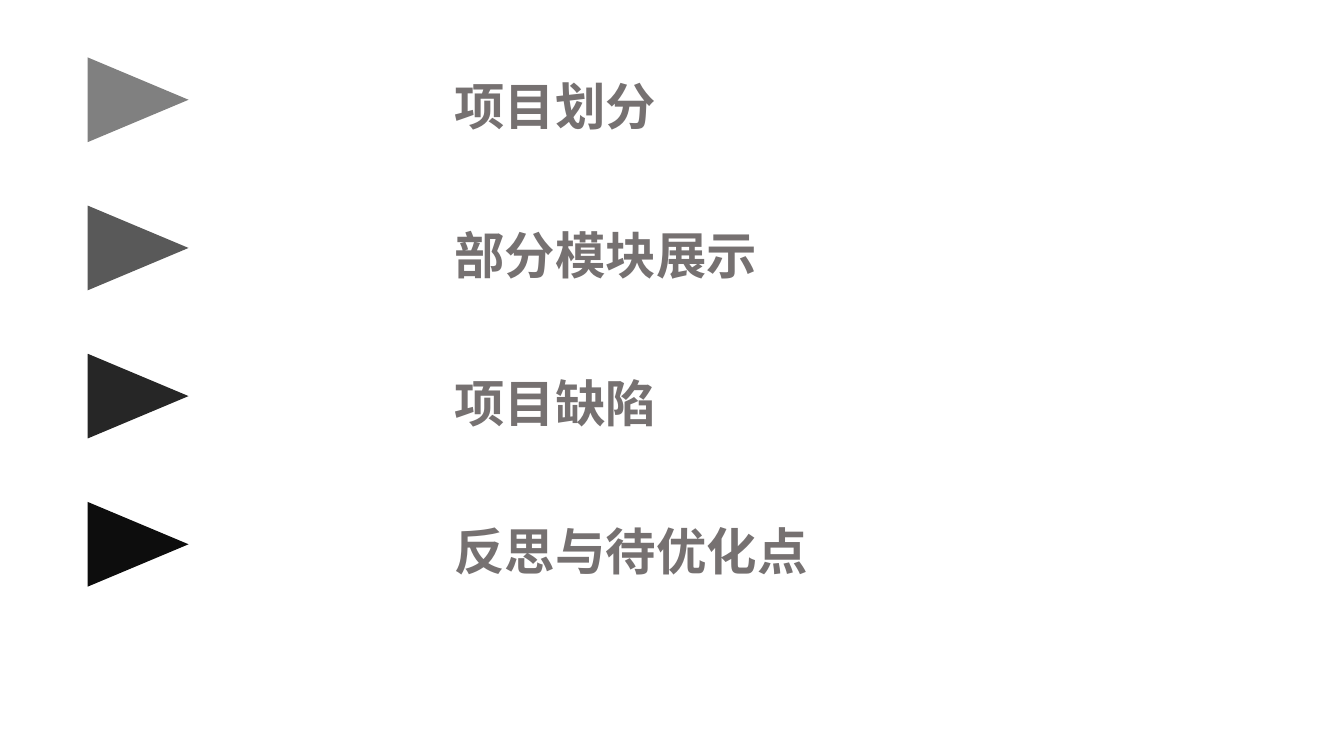
from dataclasses import dataclass

from lxml.etree import SubElement
from pptx import Presentation
from pptx.dml.color import RGBColor
from pptx.enum.shapes import MSO_SHAPE
from pptx.enum.text import MSO_AUTO_SIZE
from pptx.oxml.ns import qn
from pptx.util import Pt

EMU_PER_PX = 9144  # 100 px to the inch


@dataclass(frozen=True)
class Theme:
    font: str = "Noto Sans CJK SC"
    label_size: int = 36
    label_color: str = "767171"
    marker_colors: tuple = ("808080", "595959", "262626", "0D0D0D")


THEME = Theme()
# Each agenda topic with the width of its label
TOPICS = (
    ("项目划分", 295),
    ("部分模块展示", 352),
    ("项目缺陷", 546),
    ("反思与待优化点", 391),
)
FIRST_TOP, ROW_PITCH = 49, 147
MARKER_LEFT, MARKER_WIDTH, MARKER_HEIGHT = 95, 84, 100
LABEL_LEFT, LABEL_OFFSET, LABEL_HEIGHT = 441, 21, 71


def px(*lengths):
    return [length * EMU_PER_PX for length in lengths]


def add_marker(slide, top, color):
    """Draw a triangle turned to point right."""
    marker = slide.shapes.add_shape(
        MSO_SHAPE.ISOSCELES_TRIANGLE,
        *px(MARKER_LEFT, top, MARKER_WIDTH, MARKER_HEIGHT),
    )
    marker.rotation = 90
    marker.shadow.inherit = False
    marker.fill.solid()
    marker.fill.fore_color.rgb = RGBColor.from_string(color)
    marker.line.fill.background()


def write_text(frame, text, *, size, color, font, bold=False):
    run = frame.paragraphs[0].add_run()
    run.text = text
    run.font.size = Pt(size)
    run.font.bold = bold
    run.font.color.rgb = RGBColor.from_string(color)
    run.font.name = font
    # Chinese characters take their typeface from the East Asian slot
    SubElement(run.font._element, qn("a:ea"), typeface=font)


def add_label(slide, text, top, width):
    label = slide.shapes.add_textbox(*px(LABEL_LEFT, top, width, LABEL_HEIGHT))
    frame = label.text_frame
    frame.word_wrap = True
    frame.auto_size = MSO_AUTO_SIZE.SHAPE_TO_FIT_TEXT
    write_text(frame, text, size=THEME.label_size, color=THEME.label_color,
               font=THEME.font, bold=True)


def main():
    deck = Presentation()
    deck.slide_width, deck.slide_height = px(1333, 750)
    agenda = deck.slides.add_slide(deck.slide_layouts[6])
    for row, ((topic, width), color) in enumerate(zip(TOPICS, THEME.marker_colors)):
        top = FIRST_TOP + row * ROW_PITCH
        add_marker(agenda, top, color)
        add_label(agenda, topic, top + LABEL_OFFSET, width)
    deck.save("out.pptx")


if __name__ == "__main__":
    main()
